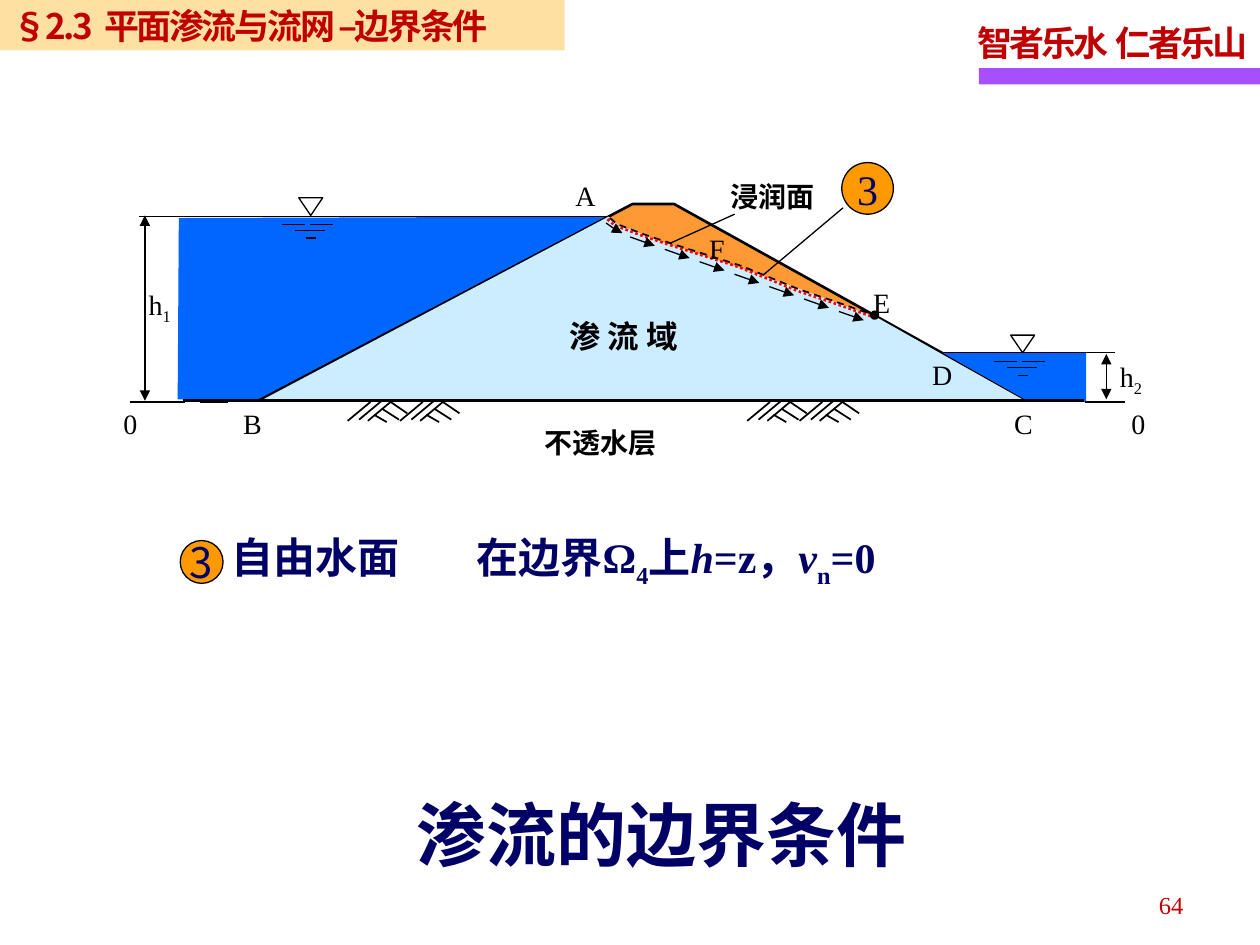
from lxml import etree
from pptx import Presentation, util as u
from pptx.dml.color import RGBColor
from pptx.enum import dml, shapes, text
from pptx.oxml.ns import qn

Pt = u.Pt
SERIF, SANS = "Times New Roman", "Noto Sans CJK SC"
BLACK, NAVY, RED, BLUE, AMBER = "000000", "000066", "C00000", "0066FF", "FF9900"
LEFT, CENTER, RIGHT = text.PP_ALIGN.LEFT, text.PP_ALIGN.CENTER, text.PP_ALIGN.RIGHT


def color(hex_value):
    return RGBColor.from_string(hex_value)


def set_values(target, values):
    for name, value in values.items():
        setattr(target, name, value)


def style(shape, fill=None, line=None, width=0.75, dash=None):
    shape.shadow.inherit = False
    if fill:
        shape.fill.solid()
        shape.fill.fore_color.rgb = color(fill)
    else:
        shape.fill.background()
    if line:
        shape.line.color.rgb = color(line)
        set_values(shape.line, {"width": Pt(width), "dash_style": dash})
    else:
        shape.line.fill.background()


def add_arrowheads(shape, *ends):
    line = shape.line._get_or_add_ln()
    for end in ends:
        etree.SubElement(line, qn(f"a:{end}"), type="triangle")


def write(shape, runs, size, hex_value, font=SERIF, bold=False, align=LEFT,
          spacing=None, track=0, wrap=True, inset=7.2, tab=None):
    """Fill a shape with one paragraph; runs are (text, baseline, italic)."""
    frame = shape.text_frame
    set_values(frame, {"word_wrap": wrap, "vertical_anchor": text.MSO_ANCHOR.MIDDLE,
                       "margin_left": Pt(inset), "margin_right": Pt(inset),
                       "margin_top": Pt(inset / 2), "margin_bottom": Pt(inset / 2)})
    paragraph = frame.paragraphs[0]
    set_values(paragraph, {"alignment": align, "line_spacing": spacing})
    if tab:
        tabs = etree.SubElement(paragraph._p.get_or_add_pPr(), qn("a:tabLst"))
        etree.SubElement(tabs, qn("a:tab"), pos=str(Pt(tab)), algn="l")
    for words, baseline, italic in [(runs, 0, False)] if isinstance(runs, str) else runs:
        run = paragraph.add_run()
        run.text = words
        run.font.color.rgb = color(hex_value)
        set_values(run.font, {"name": font, "size": Pt(size), "bold": bold, "italic": italic})
        properties = run._r.get_or_add_rPr()
        etree.SubElement(properties, qn("a:ea"), typeface=SANS)
        if baseline:
            properties.set("baseline", str(baseline * 1000))
        if track:
            properties.set("spc", str(round(track * 100)))


def add_text(slide, box, runs, size, hex_value, **options):
    write(slide.shapes.add_textbox(*map(Pt, box)), runs, size, hex_value, **options)


def add_preset(slide, kind, box, **options):
    shape = slide.shapes.add_shape(kind, *map(Pt, box))
    style(shape, **options)
    return shape


def add_line(slide, left, top, x1, y1, x2, y2, width=0.75, heads=()):
    connector = slide.shapes.add_connector(
        shapes.MSO_CONNECTOR.STRAIGHT,
        Pt(left + x1), Pt(top + y1), Pt(left + x2), Pt(top + y2))
    connector.line.color.rgb = color(BLACK)
    connector.line.width = Pt(width)
    add_arrowheads(connector, *heads)
    etree.SubElement(connector._element.spPr, qn("a:effectLst"))


def add_outline(slide, left, top, points, close=True, **options):
    corners = [(Pt(left + x), Pt(top + y)) for x, y in points]
    builder = slide.shapes.build_freeform(*corners[0])
    builder.add_line_segments(corners[1:], close=close)
    shape = builder.convert_to_shape()
    style(shape, **options)
    return shape


def add_number_badge(slide, left, top, size, font):
    badge = add_preset(slide, shapes.MSO_SHAPE.OVAL, (left, top, size, size),
                       fill=AMBER, line=BLACK)
    write(badge, "3", 24, NAVY, font=font, align=CENTER, wrap=False, inset=0)


def add_water_level(slide, left, top):
    triangle = add_preset(slide, shapes.MSO_SHAPE.ISOSCELES_TRIANGLE,
                          (left + 9.4, top, 13.7, 10.1), line=BLACK)
    triangle.rotation = 180
    for x1, x2, y in ((0, 13, 15.1), (15.8, 28.8, 15.1), (7.2, 24.2, 18.7), (13.7, 19.4, 23)):
        add_line(slide, left, top, x1, y, x2, y)


def add_ground_hatch(slide, left, top):
    strokes = ((13, 0.7, 0, 11.5), (24.5, 0.7, 11.5, 11.5), (19.5, 0, 6.5, 10.8),
               (19.5, 4.5, 29.3, 10.8), (15, 8, 22.3, 12.2), (24.5, 0.7, 34, 7.2))
    for shift in (0, 29.9):
        for stroke in strokes:
            add_line(slide, left + shift, top, *stroke, width=1)


def add_header(slide, left, top, width):
    bar = add_preset(slide, shapes.MSO_SHAPE.RECTANGLE, (left, top, 322.6, 28.8), fill="FFCC66")
    fill = bar._element.spPr.find(qn("a:solidFill"))
    etree.SubElement(fill[0], qn("a:alpha"), val="60000")
    write(bar, "§2.3  平面渗流与流网 –边界条件", 20, RED, font=SANS, bold=True, track=-1.4)

    # Motto with its underline, flush right
    add_preset(slide, shapes.MSO_SHAPE.RECTANGLE,
               (left + width - 160.6, top + 38.9, 160.6, 9.4), fill="A74FFF")
    add_text(slide, (left + width - 168.5, top + 5, 170, 35.3), "智者乐水  仁者乐山", 20, RED,
             bold=True, spacing=1.15, track=-1.7, wrap=False)


def add_dam_section(slide, left, top):
    # Water bodies, dam and seepage domain
    add_outline(slide, left, top, [(30.2, 52.6), (275, 51.8), (74.2, 157), (29.5, 156.2)],
                fill=BLUE)
    add_outline(slide, left, top, [(75.6, 157), (289.4, 44.6), (313.2, 44.6), (515.5, 157)],
                close=False, fill="FF9933", line=BLACK, width=1.5)
    add_outline(slide, left, top,
                [(78.5, 156.2), (275.8, 51.8), (280.8, 56.2), (306, 66.2), (345.6, 79.2),
                 (380.2, 91.4), (403.9, 100.1), (429.1, 109.4), (513.4, 157)], fill="CCECFF")
    add_outline(slide, left, top,
                [(466.6, 129.6), (548.6, 129.6), (548.6, 157.7), (516.2, 157.7)], fill=BLUE)

    # Ground line, water surfaces and datum ticks
    add_line(slide, left, top, 32.4, 157, 547.2, 157, width=1.5)
    for x1, x2, y in ((7.2, 275, 51.8), (467.3, 565.2, 129.6), (548, 571, 157.7),
                      (42.5, 58.3, 157.7), (2.2, 33.8, 157.7)):
        add_line(slide, left, top, x1, y, x2, y)
    add_water_level(slide, left + 89.3, top + 41)
    add_water_level(slide, left + 496.1, top + 119.5)
    for x in (126.7, 355):
        add_ground_hatch(slide, left + x, top + 157)

    # Water depths
    for x, y1, y2 in ((10.8, 51.1, 157), (560.2, 130.3, 156.2)):
        add_line(slide, left, top, x, y1, x, y2, heads=("headEnd", "tailEnd"))

    # Phreatic surface, with the free boundary just below it
    surface = [(276.5, 52.6), (280.8, 56.2), (295.9, 61.9), (315.4, 68.4),
               (351.4, 79.9), (385.2, 93.6), (404.6, 100.1), (427, 108)]
    add_outline(slide, left, top, surface, close=False, line=BLACK, width=1,
                dash=dml.MSO_LINE.DASH)
    add_outline(slide, left - 1.4, top + 0.7, surface, close=False, line="FF0000", width=1.5,
                dash=dml.MSO_LINE.ROUND_DOT)
    add_preset(slide, shapes.MSO_SHAPE.OVAL, (left + 425.5, top + 105.8, 4.6, 4.6),
               fill=BLACK, line=BLACK)

    # Flow arrows
    first = add_outline(slide, left, top, [(274.3, 55.4), (279.4, 59), (283.7, 61.2)],
                        close=False, line=BLACK)
    add_arrowheads(first, "tailEnd")
    for index in range(7):
        x, y = 288 + 19.9 * index, 63.4 + 7.1 * index
        add_line(slide, left, top, x, y, x + 14.2, y + 5, heads=("tailEnd",))

    # Leaders and badge
    add_line(slide, left, top, 311, 67, 347.8, 50.4)
    add_line(slide, left, top, 364.3, 85, 409.7, 46.8)
    add_number_badge(slide, left + 409, top + 20.9, 29.5, SERIF)

    # Point and depth labels
    for words, x, y in (("A", 249.8, 22.3), ("B", 59.8, 152.6), ("C", 500.4, 152.6),
                        ("D", 453.6, 124.6), ("E", 419.8, 83.5), ("F", 326.2, 52.6),
                        ("0", -8.6, 152.6), ("0", 567.4, 152.6),
                        ([("h", 0, False), ("1", -25, False)], 5.8, 85.7),
                        ([("h", 0, False), ("2", -25, False)], 560.9, 126.7)):
        add_text(slide, (left + x, top + y, 36, 31.7), words, 16, BLACK, spacing=1.15)

    # Region names
    for words, x, y, width, size, align in (("不透水层", 213.8, 165.6, 114.5, 16, CENTER),
                                            ("浸润面", 329.8, 24.5, 79.2, 16, CENTER),
                                            ("渗 流 域", 246.2, 104.4, 118.8, 18, LEFT)):
        add_text(slide, (left + x, top + y, width, 28), words, size, BLACK,
                 bold=True, align=align, spacing=1.15)


def add_condition(slide, left, top):
    add_number_badge(slide, left, top, 24.5, SANS)
    runs = [("自由水面\t在边界Ω", 0, False), ("4", -25, False), ("上", 0, False),
            ("h", 0, True), ("=z，", 0, False), ("v", 0, True),
            ("n", -25, False), ("=0", 0, False)]
    add_text(slide, (left + 22.3, top - 6.5, 467.3, 36), runs, 24, NAVY, bold=True, tab=140)


def add_footer(slide, left, top):
    add_text(slide, (left, top, 309.6, 55.4), "渗流的边界条件", 40, NAVY, font=SANS, bold=True)
    add_text(slide, (left + 284.4, top + 52.6, 167.8, 28.8), "64", 14, RED,
             align=RIGHT, spacing=1.15)


def main():
    presentation = Presentation()
    set_values(presentation, {"slide_width": Pt(720), "slide_height": Pt(540)})
    slide = presentation.slides.add_slide(presentation.slide_layouts[6])
    add_header(slide, 0, 0, 720)
    add_dam_section(slide, 72, 72)
    add_condition(slide, 103, 308.9)
    add_footer(slide, 231.1, 448.6)
    presentation.save("out.pptx")


if __name__ == "__main__":
    main()
